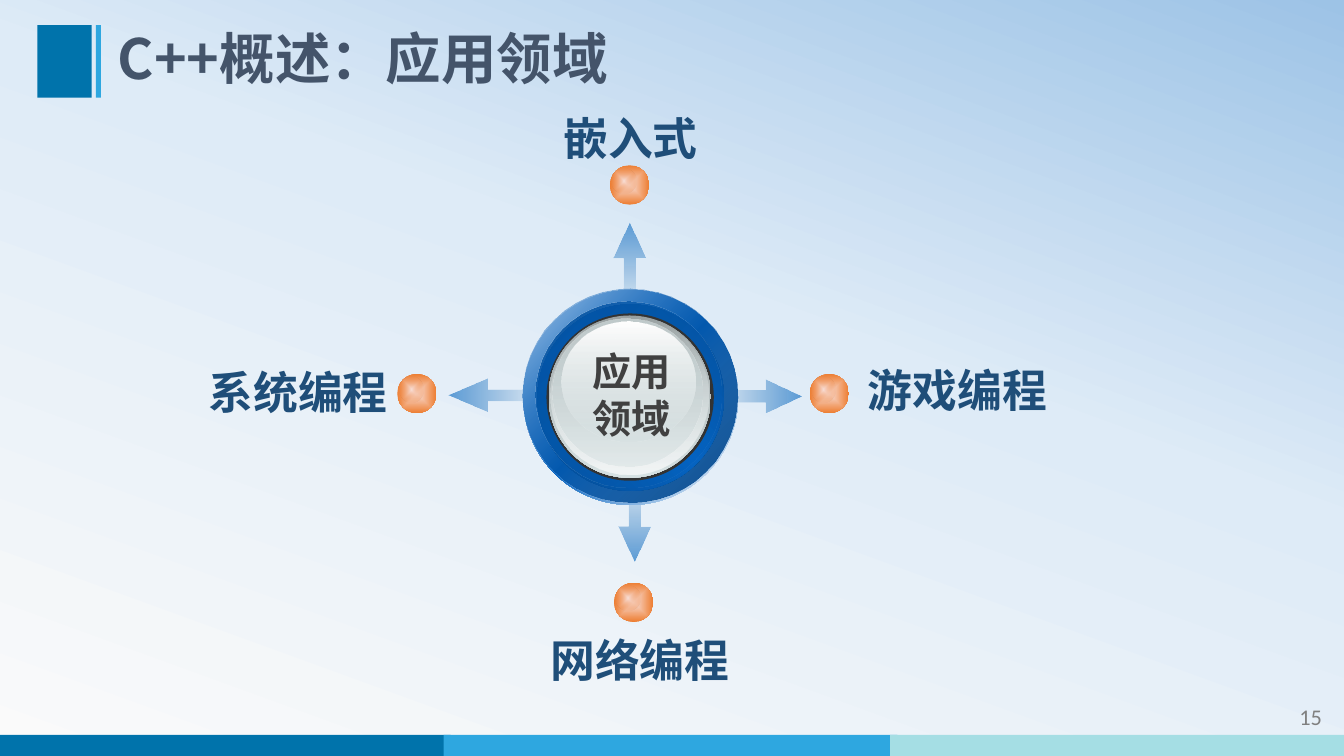
from lxml import etree
from pptx import Presentation
from pptx.dml.color import RGBColor
from pptx.enum.shapes import MSO_SHAPE
from pptx.enum.text import MSO_ANCHOR, PP_ALIGN
from pptx.oxml.ns import qn
from pptx.util import Inches, Pt

RECTANGLE, OVAL, ARROW = MSO_SHAPE.RECTANGLE, MSO_SHAPE.OVAL, MSO_SHAPE.RIGHT_ARROW
LEFT, CENTER, RIGHT = PP_ALIGN.LEFT, PP_ALIGN.CENTER, PP_ALIGN.RIGHT
TOP, MIDDLE = MSO_ANCHOR.TOP, MSO_ANCHOR.MIDDLE
HEADING_FONT = "Noto Sans CJK SC"

presentation = Presentation()
presentation.slide_width = Inches(13.33)
presentation.slide_height = Inches(7.5)
slide = presentation.slides.add_slide(presentation.slide_layouts[6])


def paint(target, element, colors, angle=None):
    """Fill with one hex colour, or with (position, hex, opacity) stops.

    Stops without an angle run from the centre outwards.
    """
    if isinstance(colors, str):
        target.fill.solid()
        target.fill.fore_color.rgb = RGBColor.from_string(colors)
        return
    target.fill.gradient()
    gradient = element.find(".//" + qn("a:gradFill"))
    for child in list(gradient):
        gradient.remove(child)
    stops = etree.SubElement(gradient, qn("a:gsLst"))
    for position, color, opacity in colors:
        stop = etree.SubElement(stops, qn("a:gs"), pos=str(position * 1000))
        value = etree.SubElement(stop, qn("a:srgbClr"), val=color)
        if opacity < 100:
            etree.SubElement(value, qn("a:alpha"), val=str(opacity * 1000))
    if angle is None:
        radial = etree.SubElement(gradient, qn("a:path"))
        radial.set("path", "shape")
        etree.SubElement(radial, qn("a:fillToRect"), l="50000", t="50000", r="50000", b="50000")
    else:
        etree.SubElement(gradient, qn("a:lin"), ang=str(angle * 60000), scaled="0")


def add_text(box, lines, size, color, align=LEFT, anchor=TOP, font=HEADING_FONT, bold=True, wrap=False):
    text_box = slide.shapes.add_textbox(*map(Inches, box))
    frame = text_box.text_frame
    frame.word_wrap = wrap
    frame.vertical_anchor = anchor
    for index, line in enumerate(lines):
        paragraph = frame.paragraphs[0] if index == 0 else frame.add_paragraph()
        paragraph.alignment = align
        run = paragraph.add_run()
        run.text = line
        run.font.size = Pt(size)
        run.font.bold = bold
        run.font.name = font
        run.font.color.rgb = RGBColor.from_string(color)
        etree.SubElement(run.font._element, qn("a:ea"), typeface=font)
    return frame


# Background
paint(slide.background, slide._element,
      [(0, "FAFAFA", 100), (58, "DEEBF7", 100), (100, "9DC3E6", 100)], 290)

# Each part: preset, box, colours, gradient angle, rotation, adjustments
parts = []

# Footer bands and title marker
for index, color in enumerate(["0073AB", "2EA7E0", "A5DEE4"]):
    parts.append((RECTANGLE, (-0.03 + 4.43 * index, 7.29, 4.5, 0.21), color, None, 0, ()))
parts.append((RECTANGLE, (0.37, 0.25, 0.54, 0.72), "0073AB", None, 0, ()))
parts.append((RECTANGLE, (0.95, 0.25, 0.05, 0.72), "2EA7E0", None, 0, ()))

# Arrows leaving the hub
arrow_fade = [(0, "5793CA", 0), (100, "5B9BD5", 100)]
for left, top, width, rotation, head in [
    (5.86, 4.98, 0.87, 90, 1.11),
    (5.81, 2.48, 0.87, 270, 1.11),
    (7.08, 3.77, 0.87, 0, 1.11),
    (4.45, 3.76, 0.94, 180, 1.21),
]:
    parts.append((ARROW, (left, top, width, 0.32), arrow_fade, 0, rotation, (0.352, head)))

# Orange beads, each with a highlight
for left, top in [(6.05, 1.64), (3.94, 3.71), (8.03, 3.71), (6.09, 5.78)]:
    for offset_x, offset_y, width, height, edge in [(0, 0, 0.39, 0.39, 100), (0.02, 0.03, 0.24, 0.25, 0)]:
        parts.append((OVAL, (left + offset_x, top + offset_y, width, height),
                      [(0, "F9DED6", 100), (100, "ED7D31", edge)], None, 0, ()))

# Hub: stacked discs from the outer rim to the glossy centre
for box, colors, angle in [
    ((5.19, 2.88, 2.13, 2.13), [(0, "FFFFFF", 100), (50, "0563C1", 100), (100, "FFFFFF", 100)], 45),
    ((5.18, 2.86, 2.13, 2.13), [(0, "0563C1", 32), (100, "04478A", 100)], 45),
    ((5.33, 3.02, 1.85, 1.85), [(0, "044C94", 100), (50, "0563C1", 100), (100, "044C94", 100)], 315),
    ((5.31, 2.99, 1.85, 1.85), [(0, "04519E", 100), (100, "0563C1", 0)], 45),
    ((5.42, 3.11, 1.66, 1.66), "333333", None),
    ((5.44, 3.13, 1.61, 1.61), [(0, "99A1A2", 100), (100, "D6E1E2", 100)], 90),
    ((5.46, 3.14, 1.57, 1.57), [(0, "D6E1E2", 0), (100, "F2F5F5", 100)], 90),
    ((5.48, 3.16, 1.49, 1.47), [(0, "C1CBCC", 100), (100, "D6E1E2", 48)], 90),
    ((5.57, 3.19, 1.33, 1.19), [(0, "FFFFFF", 100), (100, "D6E1E2", 38)], 90),
]:
    parts.append((OVAL, box, colors, angle, 0, ()))

for preset, box, colors, angle, rotation, adjustments in parts:
    shape = slide.shapes.add_shape(preset, *map(Inches, box))
    shape.shadow.inherit = False
    shape.line.fill.background()
    shape.rotation = rotation
    for index, value in enumerate(adjustments):
        shape.adjustments[index] = value
    paint(shape, shape._element, colors, angle)

# Title and slide number
title = add_text((1.07, 0.25, 10.86, 0.72), ["C++概述：应用领域"], 39.6, "44546A", anchor=MIDDLE, wrap=True)
title.paragraphs[0].line_spacing = 0.9
add_text((11.62, 6.91, 1.59, 0.4), ["15"], 16, "808080", RIGHT, MIDDLE, "Calibri", False, True)

# Hub text and the four fields
add_text((5.77, 3.4, 0.99, 1.04), ["应用", "领域"], 28, "404040", CENTER)
for label, left, top, width, align in [
    ("嵌入式", 5.47, 1.05, 1.55, RIGHT),
    ("游戏编程", 8.51, 3.55, 2, LEFT),
    ("网络编程", 5.36, 6.23, 2, LEFT),
    ("系统编程", 1.97, 3.57, 2, LEFT),
]:
    add_text((left, top, width, 0.64), [label], 32, "1F4E79", align)

presentation.save("out.pptx")
